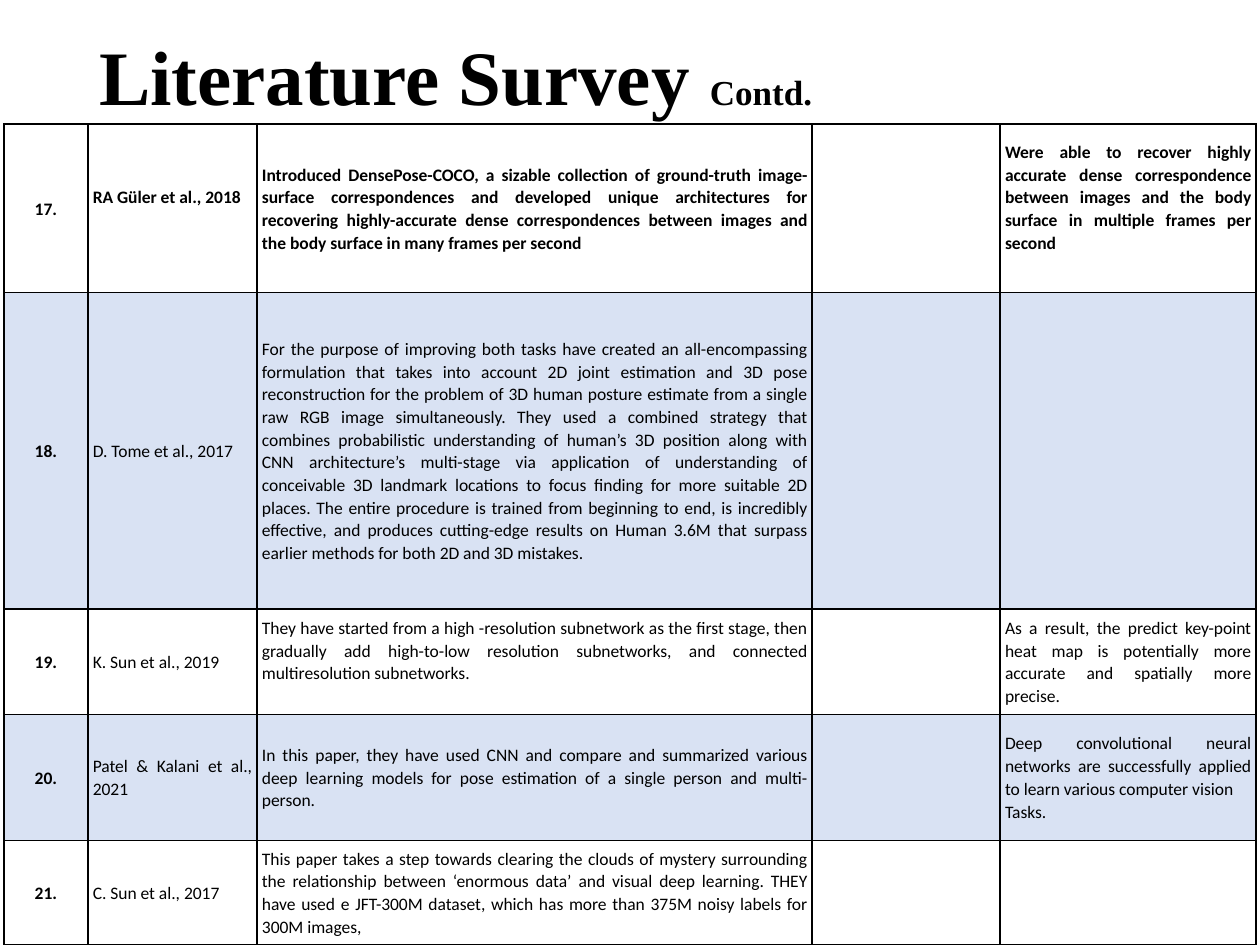
import pptx
import pptx.util
import pptx.dml.color
import pptx.enum.text
import pptx.oxml
import pptx.oxml.ns
from lxml import etree

Cm = pptx.util.Cm
Pt = pptx.util.Pt
ALIGN = pptx.enum.text.PP_ALIGN
MIDDLE = pptx.enum.text.MSO_ANCHOR.MIDDLE
qn = pptx.oxml.ns.qn

COLORS = {"text": "000000", "border": "000000", "band": "4472C4"}
BAND_ALPHA = 20
COL_WIDTHS = [1.69, 3.41, 11.19, 3.79, 5.16]
ROW_HEIGHTS = [3.4, 6.38, 2.12, 2.54, 2.1]
LINE_GAP = 0.45
RAISED_CELLS = {(0, 1), (0, 4), (2, 2)}
FIRST_NUMBER = 17

PAPERS = [
    ("RA Güler et al., 2018",
     "Introduced DensePose-COCO, a sizable collection of ground-truth image-surface "
     "correspondences and developed unique architectures for recovering highly-accurate "
     "dense correspondences between images and the body surface in many frames per second",
     "",
     "Were able to recover highly accurate dense correspondence between images and the "
     "body surface in multiple frames per second"),
    ("D. Tome et al., 2017",
     "For the purpose of improving both tasks have created an all-encompassing formulation "
     "that takes into account 2D joint estimation and 3D pose reconstruction for the problem "
     "of 3D human posture estimate from a single raw RGB image simultaneously. They used a "
     "combined strategy that combines probabilistic understanding of human’s 3D position "
     "along with CNN architecture’s multi-stage via application of understanding of "
     "conceivable 3D landmark locations to focus finding for more suitable 2D places. The "
     "entire procedure is trained from beginning to end, is incredibly effective, and "
     "produces cutting-edge results on Human 3.6M that surpass earlier methods for both 2D "
     "and 3D mistakes.",
     "", ""),
    ("K. Sun et al., 2019",
     "They have started from a high -resolution subnetwork as the first stage, then "
     "gradually add high-to-low resolution subnetworks, and connected multiresolution "
     "subnetworks.",
     "",
     "As a result, the predict key-point heat map is potentially more accurate and "
     "spatially more precise."),
    ("Patel & Kalani et al., 2021",
     "In this paper, they have used CNN and compare and summarized various deep learning "
     "models for pose estimation of a single person and multi-person.",
     "",
     "Deep convolutional neural networks are successfully applied to learn various computer "
     "vision\nTasks."),
    ("C. Sun et al., 2017",
     "This paper takes a step towards clearing the clouds of mystery surrounding the "
     "relationship between ‘enormous data’ and visual deep learning. THEY have used e "
     "JFT-300M dataset, which has more than 375M noisy labels for 300M images,",
     "", ""),
]


def rgb(name):
    return pptx.dml.color.RGBColor.from_string(COLORS[name])


def style_run(r, font, size, bold):
    r.font.name = font
    r.font.size = Pt(size)
    r.font.bold = bold
    r.font.color.rgb = rgb("text")


def add_title(s):
    sp = s.shapes.add_textbox(Cm(1.75), Cm(0.76), Cm(21.9), Cm(1.73))
    tf = sp.text_frame
    tf.word_wrap = True
    tf.vertical_anchor = MIDDLE
    p = tf.paragraphs[0]
    p.line_spacing = 0.9
    for text, size in (("Literature Survey ", 44), ("Contd.", 20)):
        r = p.add_run()
        r.text = text
        style_run(r, "Times New Roman", size, True)


def set_borders(cell):
    tcPr = cell._tc.get_or_add_tcPr()
    for side in ("a:lnL", "a:lnR", "a:lnT", "a:lnB"):
        ln = etree.SubElement(tcPr, qn(side), w=str(Pt(1)))
        fill = etree.SubElement(ln, qn("a:solidFill"))
        etree.SubElement(fill, qn("a:srgbClr"), val=COLORS["border"])


def set_fill(cell, banded):
    if not banded:
        cell.fill.background()
        return
    cell.fill.solid()
    cell.fill.fore_color.rgb = rgb("band")
    clr = cell._tc.tcPr.find(qn("a:solidFill")).find(qn("a:srgbClr"))
    etree.SubElement(clr, qn("a:alpha"), val=str(BAND_ALPHA * 1000))


def set_text(cell, text, align, bold, raised):
    cell.vertical_anchor = MIDDLE
    cell.margin_left = cell.margin_right = Cm(0.1)
    cell.margin_top = 0
    cell.margin_bottom = Cm(LINE_GAP if raised else 0)
    if not text:
        return
    cell.text_frame.text = text
    for p in cell.text_frame.paragraphs:
        p.alignment = align
        p.line_spacing = 1.07
        for r in p.runs:
            style_run(r, "Calibri", 10, bold)


def add_survey_table(s):
    frame = s.shapes.add_table(len(PAPERS), len(COL_WIDTHS), Cm(0.08), Cm(2.5),
                               Cm(sum(COL_WIDTHS)), Cm(sum(ROW_HEIGHTS)))
    table = frame.table
    table.first_row = False
    table.horz_banding = False
    for col, width in zip(table.columns, COL_WIDTHS):
        col.width = Cm(width)
    for row, height in zip(table.rows, ROW_HEIGHTS):
        row.height = Cm(height)
    for i, paper in enumerate(PAPERS):
        for j, text in enumerate((f"{FIRST_NUMBER + i}.", *paper)):
            cell = table.cell(i, j)
            set_borders(cell)
            set_fill(cell, i % 2 == 1)
            align = ALIGN.CENTER if j == 0 else ALIGN.JUSTIFY
            set_text(cell, text, align, i == 0 or j == 0, (i, j) in RAISED_CELLS)


def main():
    prs = pptx.Presentation()
    prs.slide_width = Cm(25.4)
    prs.slide_height = Cm(19.05)
    s = prs.slides.add_slide(prs.slide_layouts[6])
    add_title(s)
    add_survey_table(s)
    prs.save("out.pptx")


if __name__ == "__main__":
    main()
